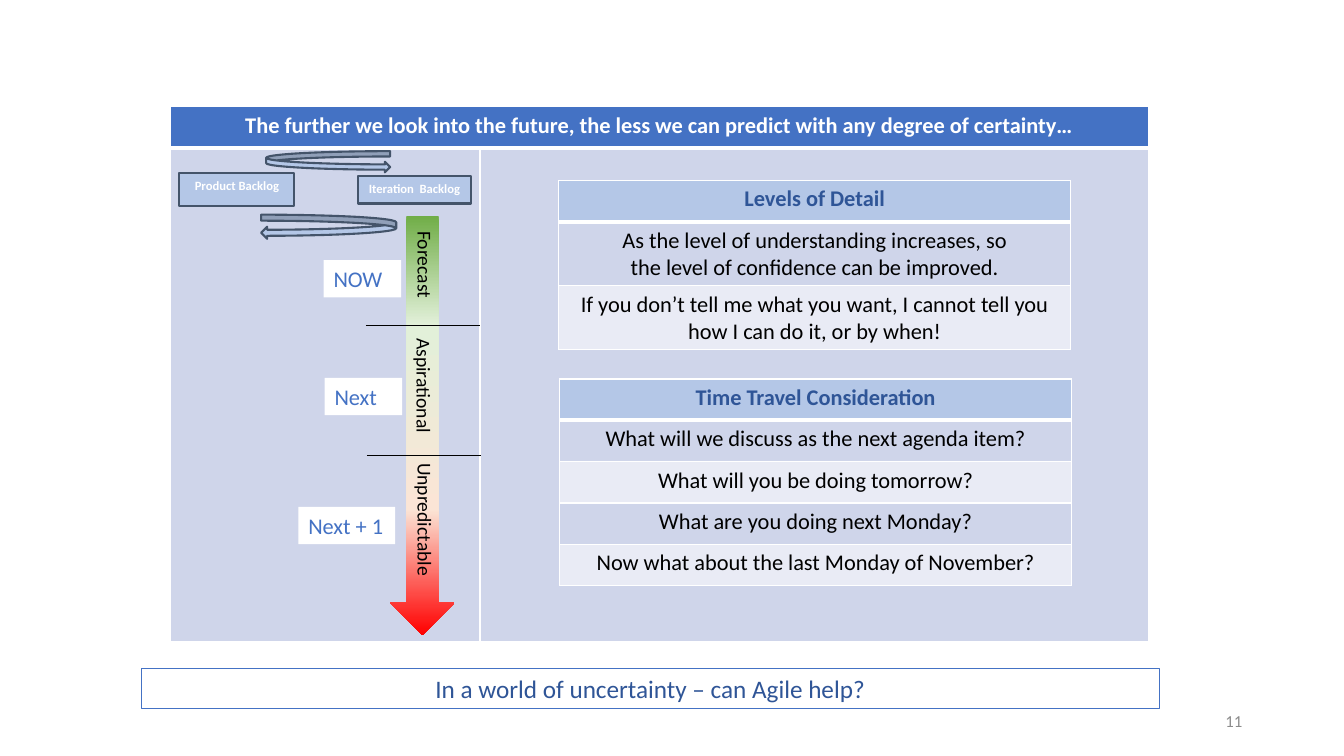
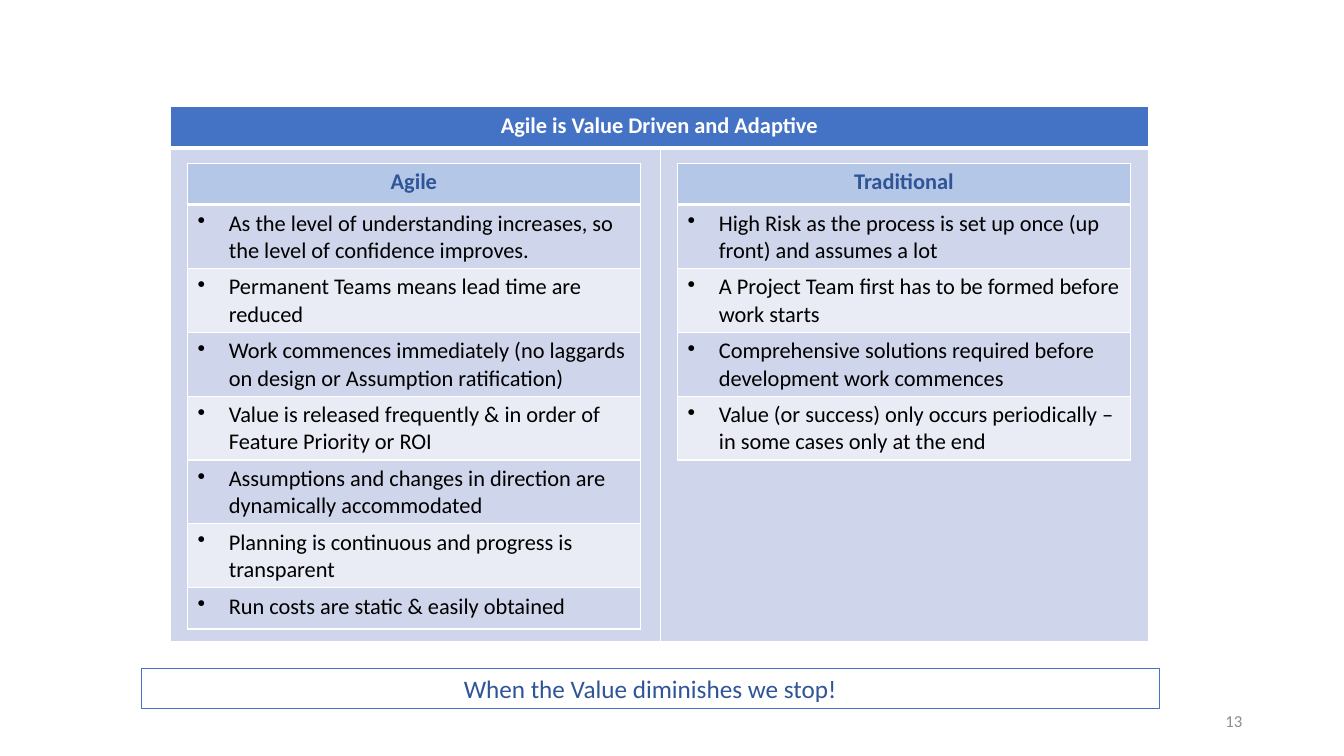
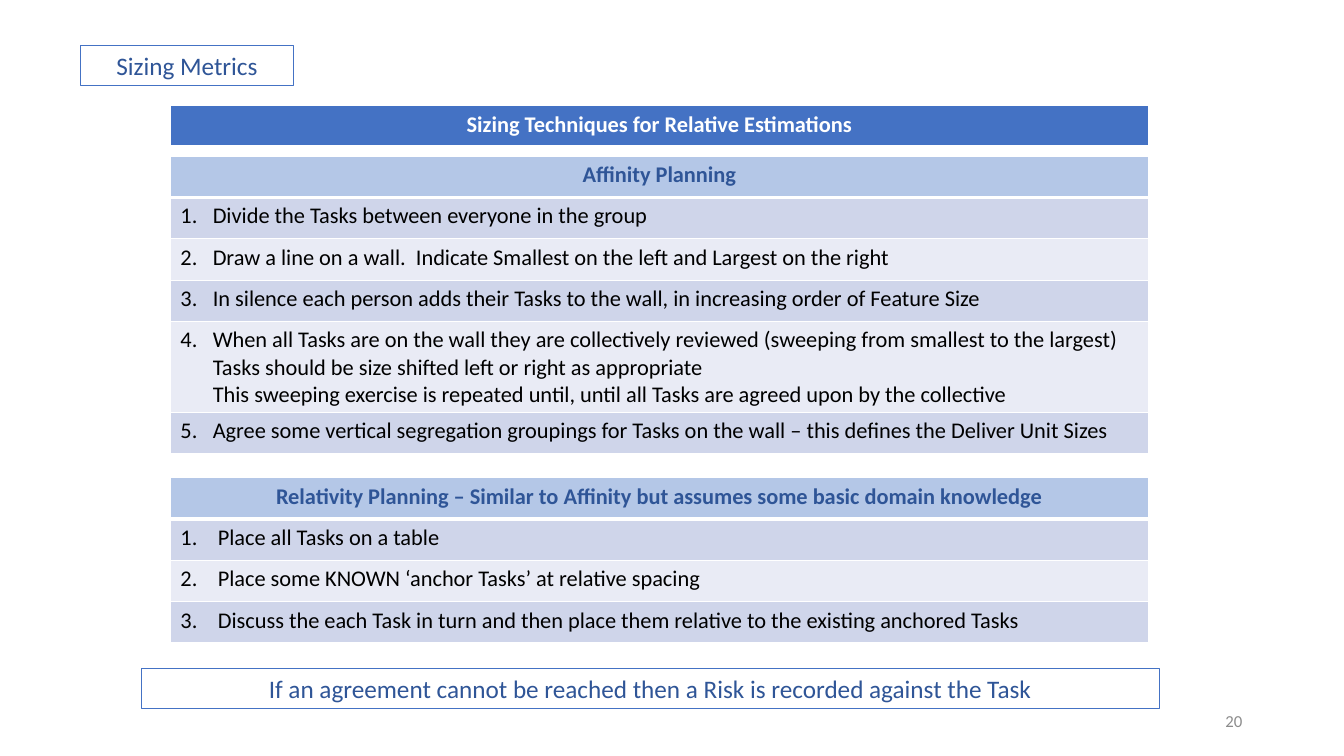
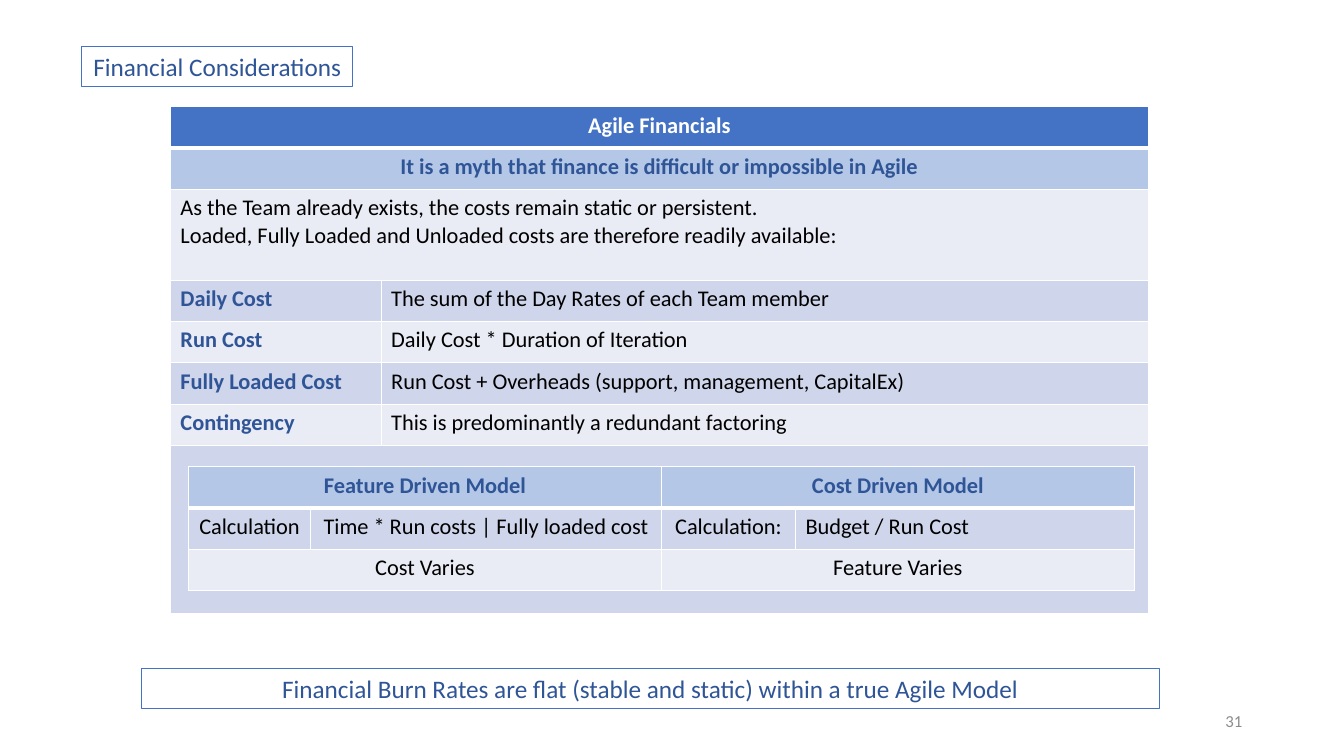
from dataclasses import dataclass
from typing import Optional

from lxml import etree
from pptx import Presentation
from pptx.dml.color import RGBColor
from pptx.enum.shapes import MSO_CONNECTOR, MSO_SHAPE as SHAPE
from pptx.enum.text import MSO_ANCHOR as ANCHOR, PP_ALIGN as ALIGN
from pptx.oxml.ns import qn
from pptx.util import Inches, Pt

FONT = "Calibri"
COLORS = {
    "white": "FFFFFF", "ink": "000000", "blue": "4472C4", "navy": "2F5597",
    "sky": "B4C7E7", "band": "CFD5EA", "pale": "E9EBF5", "slate": "44546A",
    "grey": "8C8C8C", "green": "70AD47", "mint": "E2F0D9", "peach": "FBE5D6",
    "red": "FF0000",
}
TITLE_ONLY, BLANK = 5, 6
LEFT, WIDTH, ROW = 1.69, 9.7, 0.41
TWO_LINES, THREE_LINES = 0.63, 0.9


@dataclass(frozen=True)
class Box:
    left: float
    top: float
    width: float
    height: float

    def lengths(self) -> tuple:
        return tuple(map(Inches, (self.left, self.top, self.width, self.height)))


@dataclass(frozen=True)
class Style:
    size: float
    color: str
    bold: bool = False
    align: ALIGN = ALIGN.LEFT


HEADLINE = Style(16, "white", True, ALIGN.CENTER)
HEADING = Style(16, "navy", True, ALIGN.CENTER)
TERM = Style(16, "navy", True)
BODY = Style(16, "ink")
CENTERED = Style(16, "ink", align=ALIGN.CENTER)
CAPTION = Style(18, "navy", align=ALIGN.CENTER)
PAGE_NUMBER = Style(12, "grey", align=ALIGN.RIGHT)
BACKLOG = Style(9, "white", True, ALIGN.CENTER)
HORIZON = Style(16, "blue")
CERTAINTY = Style(14, "ink")


@dataclass(frozen=True)
class Cell:
    text: str
    fill: str
    style: Style = BODY
    span: int = 1
    marker: Optional[tuple[str, dict[str, str]]] = None
    indent: float = 0


@dataclass(frozen=True)
class Row:
    cells: list[Cell]
    height: float = ROW
    header: bool = False


@dataclass(frozen=True)
class Item:
    text: str
    height: float = ROW


@dataclass(frozen=True)
class Arrow:
    kind: SHAPE
    box: Box


def rgb(name: str) -> RGBColor:
    return RGBColor.from_string(COLORS[name])


def write(frame, text: str, style: Style) -> None:
    frame.text = text
    frame.word_wrap = True
    for paragraph in frame.paragraphs:
        paragraph.alignment = style.align
        font = paragraph.font
        font.name, font.size, font.bold = FONT, Pt(style.size), style.bold
        font.color.rgb = rgb(style.color)


def outline(shape, color: Optional[str], width: float = 0.75) -> None:
    if color is None:
        shape.line.fill.background()
        return
    shape.line.color.rgb = rgb(color)
    shape.line.width = Pt(width)


def add_figure(slide, kind: SHAPE, box: Box, fill: Optional[str] = None,
               line: Optional[str] = None, line_width: float = 0.75):
    shape = slide.shapes.add_shape(kind, *box.lengths())
    shape.shadow.inherit = False
    if fill is None:
        shape.fill.background()
    else:
        shape.fill.solid()
        shape.fill.fore_color.rgb = rgb(fill)
    outline(shape, line, line_width)
    return shape


def add_label(slide, box: Box, text: str, style: Style, **look):
    label = add_figure(slide, SHAPE.RECTANGLE, box, **look)
    write(label.text_frame, text, style)
    label.text_frame.vertical_anchor = ANCHOR.TOP
    return label


def add_text(slide, box: Box, text: str, style: Style):
    note = slide.shapes.add_textbox(*box.lengths())
    write(note.text_frame, text, style)
    return note


def set_borders(cell, top: float, bottom: float) -> None:
    properties = cell._tc.get_or_add_tcPr()
    for side, width in (("L", 1), ("R", 1), ("T", top), ("B", bottom)):
        border = etree.SubElement(properties, qn(f"a:ln{side}"), w=str(Pt(width)))
        solid = etree.SubElement(border, qn("a:solidFill"))
        etree.SubElement(solid, qn("a:srgbClr"), val=COLORS["white"])


def set_marker(paragraph, marker: tuple[str, dict[str, str]], indent: float) -> None:
    """Give the paragraph a bullet or number with a hanging indent."""
    properties = paragraph._p.get_or_add_pPr()
    properties.set("marL", str(Inches(indent)))
    properties.set("indent", str(-Inches(indent)))
    tag, attributes = marker
    element = etree.Element(qn(tag), attributes)
    properties.insert(0, element)


def add_grid(slide, left: float, top: float, widths: list[float], rows: list[Row]) -> None:
    box = Box(left, top, sum(widths), sum(row.height for row in rows))
    grid = slide.shapes.add_table(len(rows), len(widths), *box.lengths()).table
    grid.first_row = grid.horz_banding = False
    for column, width in zip(grid.columns, widths):
        column.width = Inches(width)
    below_header = False
    for r, row in enumerate(rows):
        grid.rows[r].height = Inches(row.height)
        c = 0
        for spec in row.cells:
            for covered in range(c, c + spec.span):
                cell = grid.cell(r, covered)
                set_borders(cell, 3 if below_header else 1, 3 if row.header else 1)
                cell.fill.solid()
                cell.fill.fore_color.rgb = rgb(spec.fill)
            cell = grid.cell(r, c)
            if spec.span > 1:
                cell.merge(grid.cell(r, c + spec.span - 1))
            write(cell.text_frame, spec.text, spec.style)
            if spec.marker:
                set_marker(cell.text_frame.paragraphs[0], spec.marker, spec.indent)
            c += spec.span
        below_header = row.header


def headline(text: str, span: int) -> Row:
    return Row([Cell(text, "blue", HEADLINE, span)], header=True)


def add_list(slide, left: float, top: float, width: float, heading: str,
             items: list[Item], style: Style = BODY, mark: str = "",
             indent: float = 0) -> None:
    """Draw a headed one-column table; mark is "bullet", "number" or empty."""
    rows = [Row([Cell(heading, "sky", HEADING)], header=True)]
    for i, item in enumerate(items):
        marker = {
            "bullet": ("a:buChar", {"char": "•"}),
            "number": ("a:buAutoNum", {"type": "arabicPeriod", "startAt": str(i + 1)}),
        }.get(mark)
        fill = "pale" if i % 2 else "band"
        rows.append(Row([Cell(item.text, fill, style, 1, marker, indent)], item.height))
    add_grid(slide, left, top, [width], rows)


def start_slide(deck, page: int, conclusion: str, title: str = "",
                title_box: Optional[Box] = None):
    slide = deck.slides.add_slide(deck.slide_layouts[TITLE_ONLY if title else BLANK])
    if title_box:
        heading = slide.shapes.title
        heading.left, heading.top, heading.width, heading.height = title_box.lengths()
        write(heading.text_frame, title, CAPTION)
        heading.text_frame.vertical_anchor = ANCHOR.TOP
        outline(heading, "blue")
    add_label(slide, Box(1.4, 6.63, 10.1, 0.4), conclusion, CAPTION, line="blue")
    number = add_text(slide, Box(9.42, 6.95, 3, 0.4), str(page), PAGE_NUMBER)
    number.text_frame.vertical_anchor = ANCHOR.MIDDLE
    return slide


def add_certainty_arrow(slide) -> None:
    arrow = add_figure(slide, SHAPE.DOWN_ARROW, Box(3.87, 2.14, 0.64, 4.16))
    arrow.fill.gradient()
    arrow.fill.gradient_angle = 270
    stops = arrow._element.spPr.find(qn("a:gradFill")).find(qn("a:gsLst"))
    stops.clear()
    for position, color in ((0, "green"), (26, "mint"), (70, "peach"), (100, "red")):
        stop = etree.SubElement(stops, qn("a:gs"), pos=str(position * 1000))
        etree.SubElement(stop, qn("a:srgbClr"), val=COLORS[color])


def add_divider(slide, left: float, y: float, width: float) -> None:
    divider = slide.shapes.add_connector(
        MSO_CONNECTOR.STRAIGHT, *map(Inches, (left, y, left + width, y)))
    outline(divider, "ink", 0.5)
    etree.SubElement(divider._element.spPr, qn("a:effectLst"))


def build_prediction(deck) -> None:
    slide = start_slide(deck, 11, "In a world of uncertainty – can Agile help?")
    add_grid(slide, LEFT, 1.06, [3.07, 6.63], [
        headline("The further we look into the future, the less we can predict "
                 "with any degree of certainty…", 2),
        Row([Cell("", "band"), Cell("", "band")], 4.9),
    ])
    add_certainty_arrow(slide)
    for text, box in (("NOW", Box(3.21, 2.58, 0.77, 0.37)),
                      ("Next", Box(3.22, 3.75, 0.77, 0.37)),
                      ("Next + 1", Box(2.96, 5.03, 0.96, 0.37))):
        add_label(slide, box, text, HORIZON, fill="white")
    for left, y in ((3.63, 3.23), (3.64, 4.52)):
        add_divider(slide, left, y, 1.13)
    for text, box in (("Forecast", Box(3.61, 2.63, 1.21, 0.34)),
                      ("Aspirational", Box(3.6, 3.69, 1.21, 0.34)),
                      ("Unpredictable", Box(3.31, 5.23, 1.81, 0.34))):
        add_text(slide, box, text, CERTAINTY).rotation = 90
    backlog_look = {"fill": "sky", "line": "slate", "line_width": 1.5}
    for text, box in (("Product Backlog", Box(1.78, 1.72, 1.14, 0.32)),
                      ("Iteration  Backlog", Box(3.55, 1.75, 1.12, 0.27))):
        add_label(slide, box, text, BACKLOG, **backlog_look)
    for arrow in (Arrow(SHAPE.CURVED_LEFT_ARROW, Box(2.59, 2.13, 1.34, 0.24)),
                  Arrow(SHAPE.CURVED_RIGHT_ARROW, Box(2.64, 1.5, 1.23, 0.21))):
        add_figure(slide, arrow.kind, arrow.box, **backlog_look)
    add_list(slide, 5.54, 1.79, 5.08, "Levels of Detail", [
        Item("As the level of understanding increases, so\n"
             "the level of confidence can be improved.", TWO_LINES),
        Item("If you don’t tell me what you want, I cannot tell you\n"
             "how I can do it, or by when!", TWO_LINES),
    ], CENTERED)
    add_list(slide, 5.55, 3.76, 5.08, "Time Travel Consideration", [
        Item("What will we discuss as the next agenda item?"),
        Item("What will you be doing tomorrow?"),
        Item("What are you doing next Monday?"),
        Item("Now what about the last Monday of November?"),
    ], CENTERED)


def build_comparison(deck) -> None:
    slide = start_slide(deck, 13, "When the Value diminishes we stop!")
    add_grid(slide, LEFT, 1.06, [4.86, 4.84], [
        headline("Agile is Value Driven and Adaptive", 2),
        Row([Cell("", "band"), Cell("", "band")], 4.9),
    ])
    agile = [Item(text, TWO_LINES) for text in (
        "As the level of understanding increases, so the level of confidence improves.",
        "Permanent Teams means lead time are reduced",
        "Work commences immediately (no laggards on design or Assumption ratification)",
        "Value is released frequently & in order of Feature Priority or ROI",
        "Assumptions and changes in direction are dynamically accommodated",
        "Planning is continuous and progress is transparent",
    )] + [Item("Run costs are static & easily obtained")]
    traditional = [Item(text, TWO_LINES) for text in (
        "High Risk as the process is set up once (up front) and assumes a lot",
        "A Project Team first has to be formed before work starts",
        "Comprehensive solutions required before development work commences",
        "Value (or success) only occurs periodically – in some cases only at the end",
    )]
    for left, heading, items in ((1.86, "Agile", agile), (6.72, "Traditional", traditional)):
        add_list(slide, left, 1.62, 4.49, heading, items, mark="bullet", indent=0.31)


def build_sizing(deck) -> None:
    slide = start_slide(
        deck, 20, "If an agreement cannot be reached then a Risk is recorded against the Task",
        "Sizing Metrics", Box(0.8, 0.45, 2.11, 0.4))
    add_grid(slide, LEFT, 1.05, [WIDTH], [
        headline("Sizing Techniques for Relative Estimations", 1),
        Row([Cell("", "white")], 4.6),
    ])
    add_list(slide, LEFT, 1.55, WIDTH, "Affinity Planning", [
        Item("Divide the Tasks between everyone in the group"),
        Item("Draw a line on a wall.  Indicate Smallest on the left and Largest on the right"),
        Item("In silence each person adds their Tasks to the wall, "
             "in increasing order of Feature Size"),
        Item("When all Tasks are on the wall they are collectively reviewed "
             "(sweeping from smallest to the largest)\v"
             "Tasks should be size shifted left or right as appropriate\v"
             "This sweeping exercise is repeated until, until all Tasks are "
             "agreed upon by the collective", THREE_LINES),
        Item("Agree some vertical segregation groupings for Tasks on the wall – "
             "this defines the Deliver Unit Sizes"),
    ], mark="number", indent=0.32)
    add_list(slide, LEFT, 4.74, WIDTH,
             "Relativity Planning – Similar to Affinity but assumes some basic domain knowledge", [
                 Item("Place all Tasks on a table"),
                 Item("Place some KNOWN ‘anchor Tasks’ at relative spacing"),
                 Item("Discuss the each Task in turn and then place them relative "
                      "to the existing anchored Tasks"),
             ], mark="number", indent=0.37)


def build_financials(deck) -> None:
    slide = start_slide(
        deck, 31, "Financial Burn Rates are flat (stable and static) within a true Agile Model",
        "Financial Considerations", Box(0.81, 0.46, 2.69, 0.4))
    costs = (
        ("Daily Cost", "The sum of the Day Rates of each Team member"),
        ("Run Cost", "Daily Cost * Duration of Iteration"),
        ("Fully Loaded Cost", "Run Cost + Overheads (support, management, CapitalEx)"),
        ("Contingency", "This is predominantly a redundant factoring"),
    )
    cost_rows = []
    for i, (term, meaning) in enumerate(costs):
        fill = "pale" if i % 2 else "band"
        cost_rows.append(Row([Cell(term, fill, TERM), Cell(meaning, fill)]))
    add_grid(slide, LEFT, 1.06, [2.09, 7.61], [
        headline("Agile Financials", 2),
        Row([Cell("It is a myth that finance is difficult or impossible in Agile",
                  "sky", HEADING, 2)]),
        Row([Cell("As the Team already exists, the costs remain static or persistent.\n"
                  "Loaded, Fully Loaded and Unloaded costs are therefore readily available:",
                  "pale", span=2)], THREE_LINES),
        *cost_rows,
        Row([Cell("", "band", span=2)], 1.67),
    ])
    add_grid(slide, 1.87, 4.63, [1.21, 3.48, 1.33, 3.36], [
        Row([Cell("Feature Driven Model", "sky", HEADING, 2),
             Cell("Cost Driven Model", "sky", HEADING, 2)], header=True),
        Row([Cell("Calculation", "band", CENTERED),
             Cell("Time * Run costs | Fully loaded cost", "band", CENTERED),
             Cell("Calculation:", "band", CENTERED),
             Cell("Budget / Run Cost", "band")]),
        Row([Cell("Cost Varies", "pale", CENTERED, 2),
             Cell("Feature Varies", "pale", CENTERED, 2)]),
    ])


def main() -> None:
    deck = Presentation()
    deck.slide_width, deck.slide_height = Inches(13.33), Inches(7.5)
    for build in (build_prediction, build_comparison, build_sizing, build_financials):
        build(deck)
    deck.save("out.pptx")


if __name__ == "__main__":
    main()
